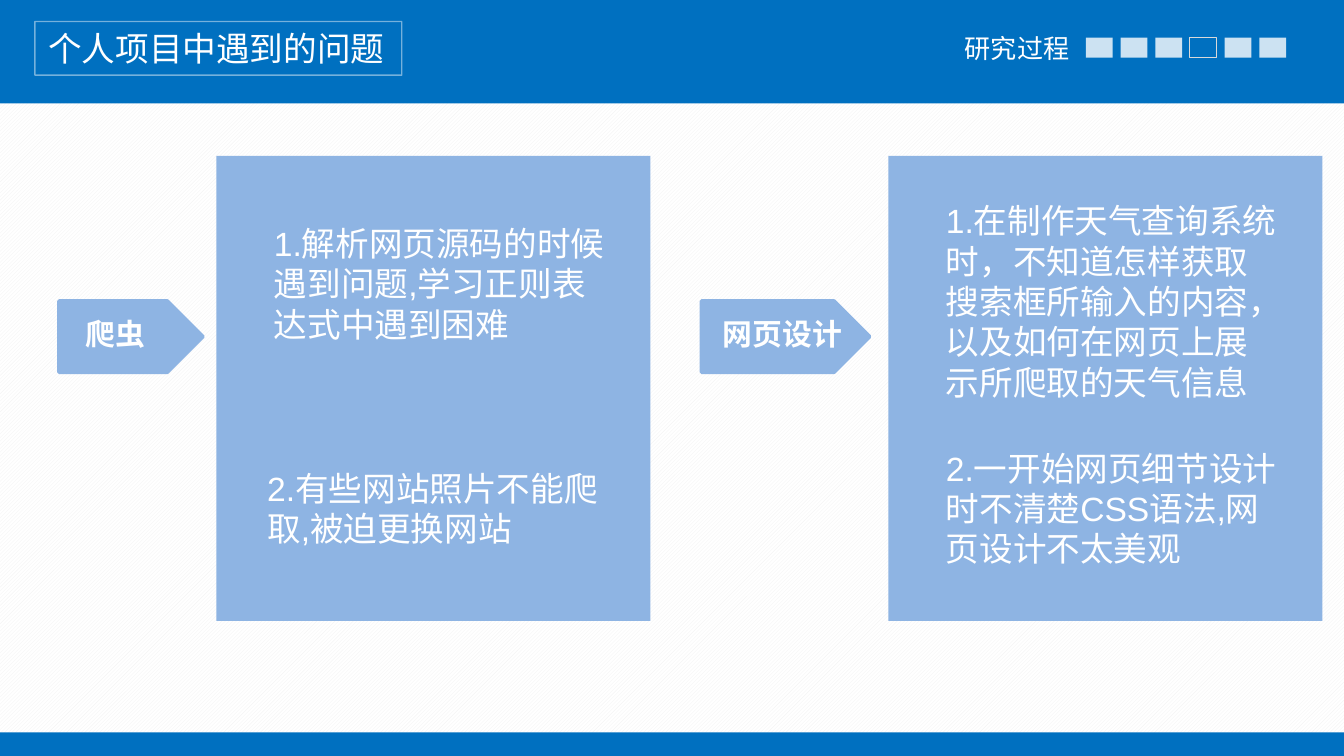
from dataclasses import dataclass

from lxml import etree
from pptx import Presentation
from pptx import util as u
from pptx.dml.color import RGBColor
from pptx.enum import dml, shapes, text
from pptx.oxml import ns


@dataclass(frozen=True)
class Theme:
    blue: str = "0070C0"
    panel: str = "8EB4E3"
    white: str = "FFFFFF"
    hatch: str = "F2F2F2"
    marker_line: str = "D9D9D9"
    latin: str = "Arial"
    chinese: str = "Noto Sans CJK SC"
    body_size: int = 18
    tag_size: int = 16
    label_size: int = 14


THEME = Theme()
SLIDE_WIDTH = 10
SLIDE_HEIGHT = SLIDE_WIDTH * 9 / 16
RECTANGLE = shapes.MSO_SHAPE.RECTANGLE
PENTAGON = shapes.MSO_SHAPE.PENTAGON

TOPICS = [
    {
        "box": (0.44, 1.16, 4.4, 3.46),
        "tag": "爬虫",
        "tag_width": 1.07,
        "tag_inset": 0.1,
        "notes": [
            ("1.解析网页源码的时候遇到问题,学习正则表达式中遇到困难", 0.33, 0.45, 1.01),
            ("2.有些网站照片不能爬取,被迫更换网站", 0.28, 2.27, 0.71),
        ],
    },
    {
        "box": (5.22, 1.16, 4.62, 3.46),
        "tag": "网页设计",
        "tag_width": 1.25,
        "tag_inset": 0.06,
        "notes": [
            ("1.在制作天气查询系统时，不知道怎样获取搜索框所输入的内容，"
             "以及如何在网页上展示所爬取的天气信息", 0.33, 0.28, 1.61),
            ("2.一开始网页细节设计时不清楚CSS语法,网页设计不太美观", 0.33, 2.12, 1.01),
        ],
    },
]


def set_values(target, values):
    for name, value in values.items():
        setattr(target, name, value)


def inches(box):
    return [u.Inches(value) for value in box]


def set_alpha(color_format, percent):
    color = color_format._xFill.find(ns.qn("a:srgbClr"))
    etree.SubElement(color, ns.qn("a:alpha"), val=str(percent * 1000))


def add_block(slide, box, fill=None, line=None, line_width=1, alpha=None, kind=RECTANGLE):
    shape = slide.shapes.add_shape(kind, *inches(box))
    shape.shadow.inherit = False
    if fill:
        shape.fill.solid()
        shape.fill.fore_color.rgb = RGBColor.from_string(fill)
        if alpha:
            set_alpha(shape.fill.fore_color, alpha)
    else:
        shape.fill.background()
    if line:
        shape.line.color.rgb = RGBColor.from_string(line)
        shape.line.width = u.Pt(line_width)
    else:
        shape.line.fill.background()
    return shape


def write(shape, words, size, bold=False, wrap=True, latin=THEME.latin,
          anchor=text.MSO_ANCHOR.TOP, auto_size=text.MSO_AUTO_SIZE.SHAPE_TO_FIT_TEXT):
    frame = shape.text_frame
    frame.text = words
    set_values(frame, {
        "word_wrap": wrap,
        "auto_size": auto_size,
        "vertical_anchor": anchor,
    })
    paragraph = frame.paragraphs[0]
    paragraph.alignment = text.PP_ALIGN.LEFT
    font = paragraph.runs[0].font
    set_values(font, {"name": latin, "size": u.Pt(size), "bold": bold})
    font.color.rgb = RGBColor.from_string(THEME.white)
    east_asian = etree.Element(ns.qn("a:ea"), typeface=THEME.chinese)
    font._rPr.find(ns.qn("a:latin")).addnext(east_asian)


def add_words(slide, box, words, size, **formats):
    write(slide.shapes.add_textbox(*inches(box)), words, size, **formats)


def place_title(slide, box, words):
    title = slide.shapes.title
    title.element.getparent().append(title.element)
    set_values(title, dict(zip(("left", "top", "width", "height"), inches(box))))
    title.line.color.rgb = RGBColor.from_string(THEME.white)
    title.line.width = u.Pt(0.75)
    set_alpha(title.line.color, 46)
    write(title, words, THEME.body_size, wrap=False, anchor=text.MSO_ANCHOR.MIDDLE,
          auto_size=text.MSO_AUTO_SIZE.NONE)


def add_progress(slide, box, count, current):
    left, top, width, height = box
    marker_width = 0.2
    pitch = (width - marker_width) / (count - 1)
    for index in range(count):
        marker = (left + index * pitch, top, marker_width, height)
        if index == current:
            add_block(slide, marker, line=THEME.marker_line, line_width=0.5)
        else:
            add_block(slide, marker, fill=THEME.white, alpha=80)


def add_header(slide, box):
    left, top, width, height = box
    add_block(slide, box, fill=THEME.blue)
    add_words(slide, (left + 7.08, top + 0.19, 1, 0.34), "研究过程",
              THEME.label_size, wrap=False, latin=THEME.chinese)
    add_progress(slide, (left + 8.08, top + 0.28, 1.49, 0.15), count=6, current=3)
    place_title(slide, (left + 0.26, top + 0.16, 2.73, 0.4), "个人项目中遇到的问题")


def add_topic(slide, box, tag, tag_width, tag_inset, notes):
    left, top, width, height = box
    panel_width = 3.23
    panel_left = left + width - panel_width
    add_block(slide, (left, top + 1.08, tag_width, 0.53), fill=THEME.panel,
              line=THEME.panel, line_width=2, kind=PENTAGON)
    add_words(slide, (left + tag_inset, top + 1.14, tag_width - tag_inset, 0.37),
              tag, THEME.tag_size, bold=True)
    add_block(slide, (panel_left, top, panel_width, height), fill=THEME.panel)
    for words, note_left, note_top, note_height in notes:
        add_words(slide, (panel_left + note_left, top + note_top, 2.67, note_height),
                  words, THEME.body_size)


def set_background(slide):
    fill = slide.background.fill
    fill.patterned()
    fill.pattern = dml.MSO_PATTERN.LIGHT_UPWARD_DIAGONAL
    fill.fore_color.rgb = RGBColor.from_string(THEME.hatch)
    fill.back_color.rgb = RGBColor.from_string(THEME.white)


def main():
    presentation = Presentation()
    set_values(presentation, {
        "slide_width": u.Inches(SLIDE_WIDTH),
        "slide_height": u.Inches(SLIDE_HEIGHT),
    })
    slide = presentation.slides.add_slide(presentation.slide_layouts[5])
    set_background(slide)
    add_header(slide, (0, 0, SLIDE_WIDTH, 0.77))
    footer_top = 5.45
    add_block(slide, (0, footer_top, SLIDE_WIDTH, SLIDE_HEIGHT - footer_top), fill=THEME.blue)
    for topic in TOPICS:
        add_topic(slide, **topic)
    presentation.save("out.pptx")


if __name__ == "__main__":
    main()
